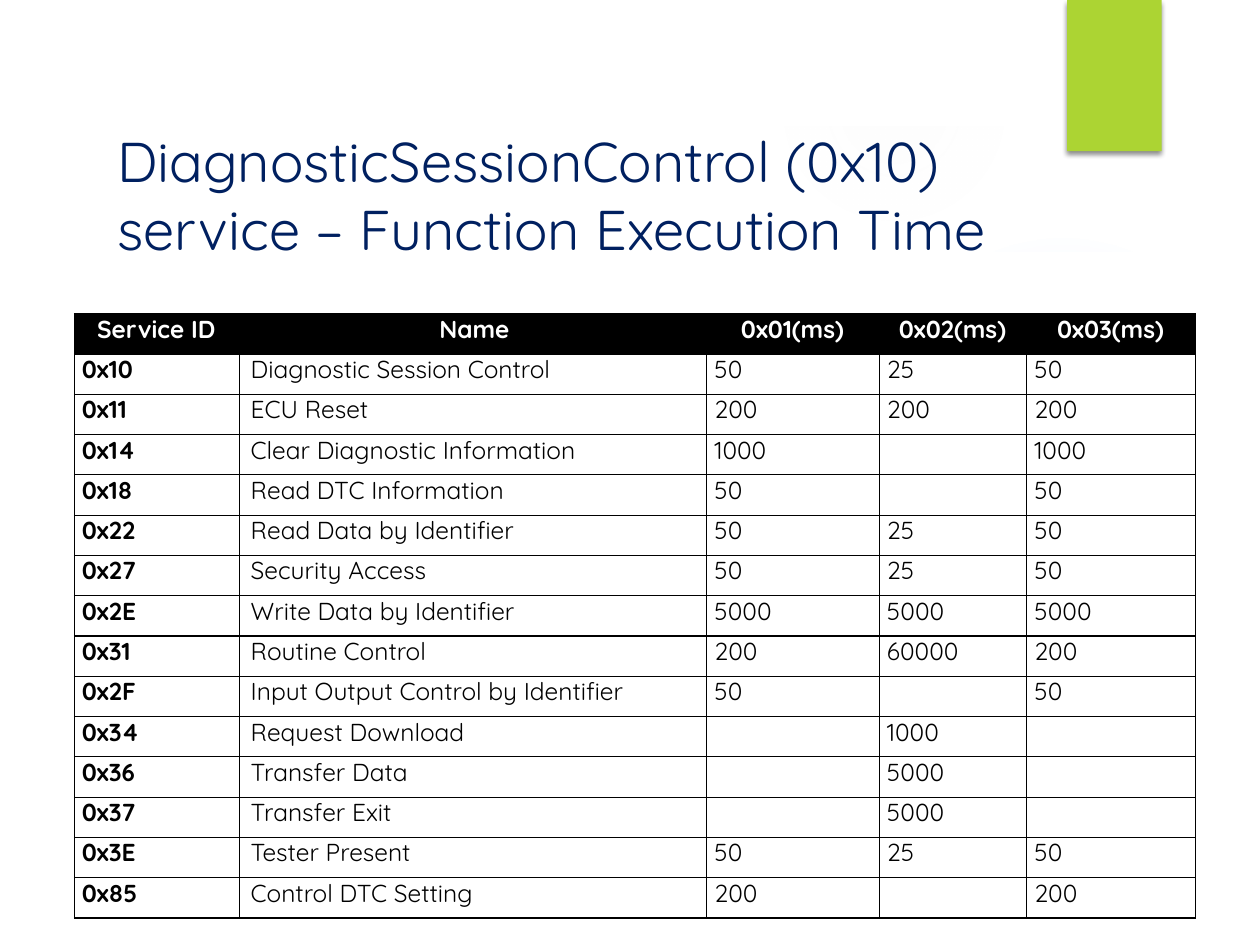
from dataclasses import dataclass

from lxml import etree
from pptx import Presentation
from pptx import util as u
from pptx.dml.color import RGBColor
from pptx.enum import shapes, text
from pptx.oxml import parse_xml
from pptx.oxml.ns import nsdecls, qn

COLORS = {
    "navy": "002060",
    "green": "ACD433",
    "sky": "75CEEC",
    "mist": "F7F7F7",
    "black": "000000",
    "white": "FFFFFF",
}
FONT = "Quicksand"
ROW_HEIGHT = 0.32
Points = list[tuple[float, float]]


@dataclass(frozen=True)
class Column:
    heading: str
    width: float
    left_inset: float = 0.06


@dataclass(frozen=True)
class Service:
    code: str
    name: str
    default: str = ""
    programming: str = ""
    extended: str = ""

    def values(self) -> list[str]:
        return [self.code, self.name, self.default, self.programming, self.extended]


@dataclass(frozen=True)
class Glow:
    left: float
    top: float
    size: float
    color: str
    stops: tuple[tuple[int, int], ...]


COLUMNS = [
    Column("Service ID", 1.31),
    Column("Name", 3.71, 0.09),
    Column("0x01(ms)", 1.37),
    Column("0x02(ms)", 1.17),
    Column("0x03(ms)", 1.34),
]

SERVICES = [
    Service("0x10", "Diagnostic Session Control", "50", "25", "50"),
    Service("0x11", "ECU Reset", "200", "200", "200"),
    Service("0x14", "Clear Diagnostic Information", "1000", "", "1000"),
    Service("0x18", "Read DTC Information", "50", "", "50"),
    Service("0x22", "Read Data by Identifier", "50", "25", "50"),
    Service("0x27", "Security Access", "50", "25", "50"),
    Service("0x2E", "Write Data by Identifier", "5000", "5000", "5000"),
    Service("0x31", "Routine Control", "200", "60000", "200"),
    Service("0x2F", "Input Output Control by Identifier", "50", "", "50"),
    Service("0x34", "Request Download", "", "1000"),
    Service("0x36", "Transfer Data", "", "5000"),
    Service("0x37", "Transfer Exit", "", "5000"),
    Service("0x3E", "Tester Present", "50", "25", "50"),
    Service("0x85", "Control DTC Setting", "200", "", "200"),
]

GLOWS = [
    Glow(6.89, 1.83, 3.08, "sky", ((0, 7), (36, 6), (69, 0))),
    Glow(6.22, 0, 1.75, "mist", ((0, 14), (36, 7), (73, 0))),
]
SWOOSH = [
    (6.99, 2.34), (7.49, 2.32), (8.2, 2.26), (8.95, 2.17), (9.56, 2.08), (9.51, 1.74),
    (9.17, 1.85), (8.84, 1.94), (8.5, 2.03), (8.18, 2.1), (7.85, 2.16), (7.54, 2.21),
    (7.24, 2.26), (6.96, 2.29),
]
PANEL = [
    (0.53, 2.03), (0.53, 6.99), (9.47, 6.99), (9.47, 2.03), (8.66, 2.15), (7.85, 2.24),
    (7.04, 2.29), (6.25, 2.33), (5.48, 2.34), (4.74, 2.34), (4.04, 2.33), (3.38, 2.3),
    (2.77, 2.26), (2.22, 2.22), (1.32, 2.13), (0.74, 2.06),
]
FRAME_OUTER = [(0, 0), (0, 7.5), (10, 7.5), (10, 0)]
FRAME_INNER = [(9.45, 6.95), (0.56, 6.95), (0.56, 0.56), (9.45, 0.56)]


def rgb(name: str) -> RGBColor:
    return RGBColor.from_string(COLORS[name])


def add_span(para, words: str, size: float, color: str, bold: bool = False) -> None:
    span = para.add_run()
    span.text = words
    span.font.name = FONT
    span.font.size = u.Pt(size)
    span.font.bold = bold
    span.font.color.rgb = rgb(color)


def paint(shape, color: str) -> None:
    shape.fill.solid()
    shape.fill.fore_color.rgb = rgb(color)
    shape.line.fill.background()
    shape.shadow.inherit = False


def add_glow(page, glow: Glow) -> None:
    circle = page.shapes.add_shape(
        shapes.MSO_SHAPE.OVAL, u.Inches(glow.left), u.Inches(glow.top),
        u.Inches(glow.size), u.Inches(glow.size),
    )
    paint(circle, glow.color)
    stops = "".join(
        f'<a:gs pos="{place * 1000}"><a:srgbClr val="{COLORS[glow.color]}">'
        f'<a:alpha val="{alpha * 1000}"/></a:srgbClr></a:gs>'
        for place, alpha in glow.stops
    )
    properties = circle.element.spPr
    properties.replace(properties.find(qn("a:solidFill")), parse_xml(
        f'<a:gradFill {nsdecls("a")}><a:gsLst>{stops}</a:gsLst><a:path path="circle">'
        '<a:fillToRect l="50000" t="50000" r="50000" b="50000"/></a:path></a:gradFill>'
    ))


def add_outline(page, *contours: Points):
    start, *rest = contours[0]
    builder = page.shapes.build_freeform(*start, scale=u.Inches(1))
    builder.add_line_segments(rest)
    for first, *others in contours[1:]:
        builder.move_to(*first)
        builder.add_line_segments(others)
    outline = builder.convert_to_shape()
    paint(outline, "white")
    return outline


def add_backdrop(page) -> None:
    for glow in GLOWS:
        add_glow(page, glow)
    swoosh = add_outline(page, SWOOSH)
    swoosh.top, swoosh.height = u.Inches(1.96), u.Inches(0.35)
    swoosh.rotation = 350.2
    color = swoosh.element.spPr.find(qn("a:solidFill"))[0]
    etree.SubElement(color, qn("a:alpha"), val="20000")
    add_outline(page, PANEL)
    add_outline(page, FRAME_OUTER, FRAME_INNER)


def add_accent(page) -> None:
    accent = page.shapes.add_shape(
        shapes.MSO_SHAPE.RECTANGLE,
        u.Inches(8.47), u.Inches(0), u.Inches(0.75), u.Inches(1.2),
    )
    paint(accent, "green")
    effects = accent.element.spPr.find(qn("a:effectLst"))
    effects.append(parse_xml(
        f'<a:outerShdw {nsdecls("a")} blurRad="{u.Pt(3)}" dist="{u.Pt(2)}" '
        f'dir="5400000" algn="ctr" rotWithShape="0"><a:srgbClr val="{COLORS["black"]}">'
        '<a:alpha val="45000"/></a:srgbClr></a:outerShdw>'
    ))


def format_title(page) -> None:
    title = page.shapes.title
    page.shapes._spTree.append(title.element)
    title.left, title.top = u.Inches(0.83), u.Inches(1.15)
    title.width, title.height = u.Inches(8.07), u.Inches(0.78)
    frame = title.text_frame
    frame.word_wrap = True
    frame.auto_size = text.MSO_AUTO_SIZE.NONE
    frame.vertical_anchor = text.MSO_ANCHOR.MIDDLE
    para = frame.paragraphs[0]
    para.alignment = text.PP_ALIGN.LEFT
    words = "DiagnosticSessionControl (0x10) service – Function Execution Time"
    add_span(para, words, 32, "navy")


def add_borders(cell) -> None:
    properties = cell._tc.get_or_add_tcPr()
    for position, side in enumerate(("lnL", "lnR", "lnT", "lnB")):
        line = etree.Element(qn(f"a:{side}"), w=str(u.Pt(0.75)))
        fill = etree.SubElement(line, qn("a:solidFill"))
        etree.SubElement(fill, qn("a:srgbClr"), val=COLORS["black"])
        properties.insert(position, line)


def fill_cell(cell, words: str, column: Column, header: bool, bold: bool) -> None:
    cell.margin_left = u.Inches(column.left_inset)
    cell.margin_right = u.Inches(0.07)
    cell.margin_top = cell.margin_bottom = 0
    cell.fill.solid()
    cell.fill.fore_color.rgb = rgb("black" if header else "white")
    add_borders(cell)
    if words:
        para = cell.text_frame.paragraphs[0]
        para.alignment = text.PP_ALIGN.CENTER if header else text.PP_ALIGN.JUSTIFY
        add_span(para, words, 14, "white" if header else "black", bold)


def add_timing_table(page) -> None:
    rows = [[column.heading for column in COLUMNS]]
    rows += [service.values() for service in SERVICES]
    table = page.shapes.add_table(
        len(rows), len(COLUMNS), u.Inches(0.59), u.Inches(2.49),
        u.Inches(sum(column.width for column in COLUMNS)),
        u.Inches(ROW_HEIGHT * len(rows)),
    ).table
    for index, column in enumerate(COLUMNS):
        table.columns[index].width = u.Inches(column.width)
    for row, values in enumerate(rows):
        table.rows[row].height = u.Inches(ROW_HEIGHT)
        for index, (words, column) in enumerate(zip(values, COLUMNS)):
            header = row == 0
            fill_cell(table.cell(row, index), words, column, header, header or index == 0)


def main() -> None:
    deck = Presentation()
    deck.slide_width, deck.slide_height = u.Inches(10), u.Inches(7.5)
    page = deck.slides.add_slide(deck.slide_layouts[5])
    page.background.fill.solid()
    page.background.fill.fore_color.rgb = rgb("white")
    add_backdrop(page)
    add_accent(page)
    format_title(page)
    add_timing_table(page)
    deck.save("out.pptx")


if __name__ == "__main__":
    main()
